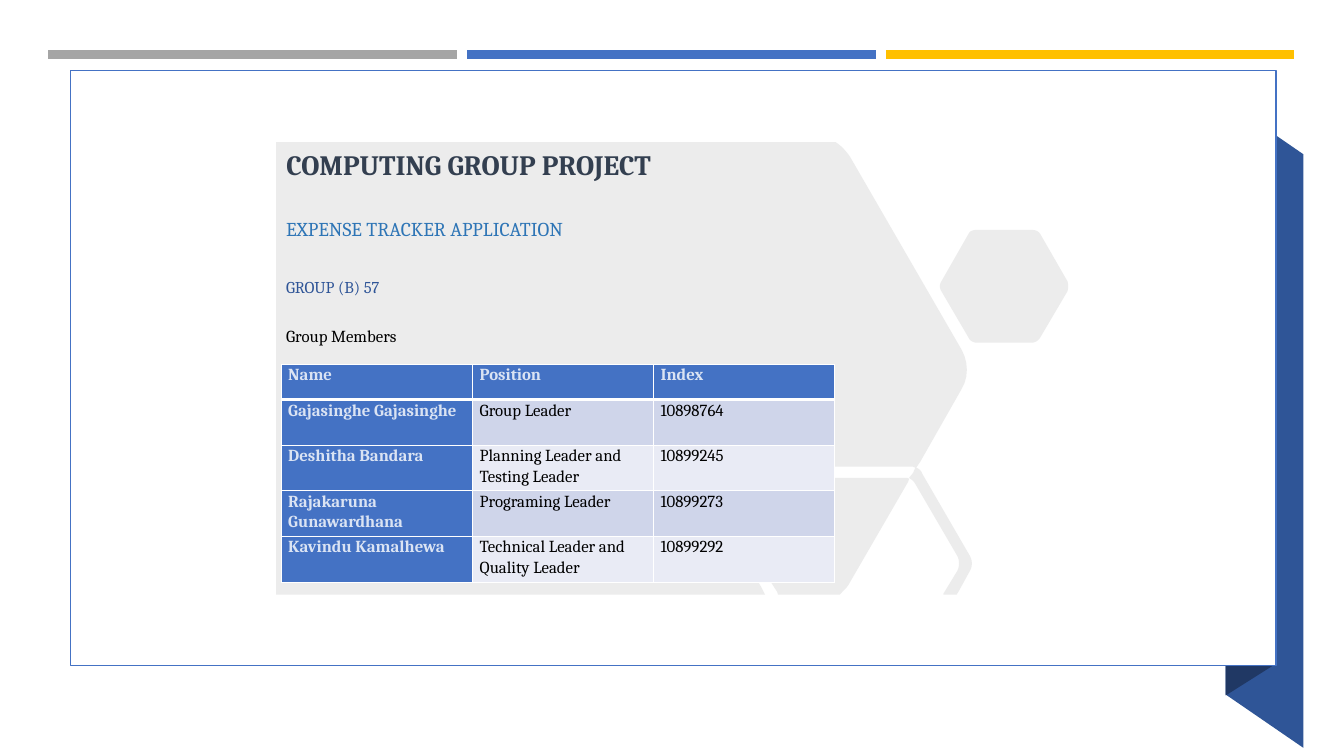
import dataclasses
import typing

import lxml.etree
import pptx
import pptx.dml.color
import pptx.enum.shapes
import pptx.enum.text
import pptx.oxml
import pptx.oxml.ns
import pptx.util

Pt = pptx.util.Pt
FONT = "Cambria"
COLORS = {
    "white": "FFFFFF", "black": "000000", "gray": "A5A5A5", "blue": "4472C4",
    "gold": "FFC000", "ribbon": "2F5597", "fold": "203864", "hexagons": "808080",
    "title": "333F50", "subtitle": "2E75B6", "light": "DAE3F3",
    "odd": "CFD5EA", "even": "E9EBF5",
}
Segment = tuple[float, ...]


@dataclasses.dataclass(frozen=True)
class Outline:
    contours: list[list[Segment]]
    color: str
    opacity: int = 100


@dataclasses.dataclass(frozen=True)
class Line:
    text: str
    size: float
    color: str
    gap: float = 0
    bold: bool = False


BAR_COLORS = ["gray", "blue", "gold"]
BAR_WIDTH, BAR_PITCH = 291.6, 299.2

RIBBON = Outline([[(931, 534.2), (875.5, 496.1), (875.5, 72), (931, 110.2)]], "ribbon")
FOLD = Outline([[(908.6, 475.9), (875.5, 496.8), (875.5, 72), (908.6, 50.4)]], "fold")

HEXAGONS = Outline([
    [(585.4, 341.3), (648, 341.3), (649.4, 342), (648.7, 344.2), (607, 416.2),
     (605.5, 419, 604.1, 420.5, 601.9, 422.6), (599.8, 424.8), (555.8, 424.8),
     (555.1, 422.6), (552.2, 418.3, 549.4, 414, 546.5, 408.2),
     (544.3, 405.4, 544.3, 401, 546.5, 398.2), (576, 346.3),
     (578.2, 342.7, 581.8, 341.3, 585.4, 341.3)],
    [(697.7, 164.2), (736.6, 164.2), (739.4, 164.2, 741.6, 164.9, 743, 167),
     (762.5, 200.9), (763.2, 203, 763.2, 205.9, 762.5, 208.1), (743, 241.2),
     (741.6, 243.4, 739.4, 244.8, 736.6, 244.8), (697.7, 244.8),
     (695.5, 244.8, 692.6, 243.4, 691.9, 241.2), (672.5, 208.1),
     (671, 205.9, 671, 203, 672.5, 200.9), (691.9, 167),
     (692.6, 164.9, 695.5, 164.2, 697.7, 164.2)],
    [(197.3, 101.5), (596.9, 101.5), (599, 103),
     (602.6, 105.8, 604.8, 108.7, 607, 111.6), (686.9, 249.8),
     (691.9, 258.5, 691.9, 270, 686.9, 277.9), (657.4, 329.8), (654.5, 334.1),
     (656.6, 334.8, 658.1, 336.2, 658.8, 338.4), (692.6, 396.7),
     (694.8, 400.3, 694.8, 404.6, 692.6, 408.2), (684.7, 422.6), (683.3, 424.8),
     (673.9, 424.8), (673.9, 424.1), (684, 407.5),
     (685.4, 404.6, 685.4, 400.3, 684, 397.4), (653.8, 345.6),
     (653, 344.2, 651.6, 342.7, 650.2, 342), (649.4, 341.3), (652.3, 337.7),
     (653.8, 334.1), (652.3, 333.4), (581.8, 333.4),
     (577.4, 333.4, 573.1, 335.5, 571, 339.1), (537.8, 397.4),
     (535.7, 401, 535.7, 405.4, 537.8, 409), (543.6, 419), (546.5, 424.8),
     (197.3, 424.8)],
], "hexagons", 15)

TITLE = Line("COMPUTING GROUP PROJECT", 20, "title", bold=True)
DETAILS = [
    Line("EXPENSE TRACKER APPLICATION", 14, "subtitle"),
    Line("GROUP (B) 57", 11.8, "ribbon", 26.3),
    Line("Group Members", 12, "black", 20.5),
]
MEMBERS = [
    ("Name", "Position", "Index"),
    ("Gajasinghe Gajasinghe", "Group Leader", "10898764"),
    ("Deshitha Bandara", "Planning Leader and Testing Leader", "10899245"),
    ("Rajakaruna Gunawardhana", "Programing Leader", "10899273"),
    ("Kavindu Kamalhewa", "Technical Leader and Quality Leader", "10899292"),
]
COLUMN_WIDTHS = [136.8, 129.2, 129.2]
HEADER_HEIGHT, ROW_HEIGHT = 25.2, 32.6


def rgb(color: str) -> pptx.dml.color.RGBColor:
    return pptx.dml.color.RGBColor.from_string(COLORS[color])


def fill_solid(fill: typing.Any, color: str) -> None:
    fill.solid()
    fill.fore_color.rgb = rgb(color)


def flatten(contour: list[Segment], steps: int = 6) -> list[tuple[int, int]]:
    points: list[Segment] = []
    for segment in contour:
        if len(segment) == 2:
            points.append(segment)
            continue
        x0, y0 = points[-1]
        x1, y1, x2, y2, x3, y3 = segment
        for step in range(1, steps + 1):
            t = step / steps
            a, b, c, d = (1 - t) ** 3, 3 * t * (1 - t) ** 2, 3 * t * t * (1 - t), t ** 3
            points.append((a * x0 + b * x1 + c * x2 + d * x3,
                           a * y0 + b * y1 + c * y2 + d * y3))
    return [(Pt(x), Pt(y)) for x, y in points]


def draw_outline(slide: typing.Any, outline: Outline) -> None:
    first, *others = [flatten(contour) for contour in outline.contours]
    builder = slide.shapes.build_freeform(*first[0], scale=1.0)
    builder.add_line_segments(first[1:], close=True)
    for points in others:
        builder.move_to(*points[0])
        builder.add_line_segments(points[1:], close=True)
    area = builder.convert_to_shape()
    area.shadow.inherit = False
    area.line.fill.background()
    fill_solid(area.fill, outline.color)
    if outline.opacity < 100:
        tint = area._element.spPr.find(".//" + pptx.oxml.ns.qn("a:srgbClr"))
        lxml.etree.SubElement(tint, pptx.oxml.ns.qn("a:alpha"), val=str(outline.opacity * 1000))


def draw_bars(slide: typing.Any) -> None:
    for index, color in enumerate(BAR_COLORS):
        left = 34.6 + index * BAR_PITCH
        bar = slide.shapes.add_connector(
            pptx.enum.shapes.MSO_CONNECTOR.STRAIGHT,
            Pt(left), Pt(38.9), Pt(left + BAR_WIDTH), Pt(38.9))
        bar.line.color.rgb = rgb(color)
        bar.line.width = Pt(6.5)
        lxml.etree.SubElement(bar._element.spPr, pptx.oxml.ns.qn("a:effectLst"))


def draw_panel(slide: typing.Any) -> None:
    panel = slide.shapes.add_shape(
        pptx.enum.shapes.MSO_SHAPE.RECTANGLE, Pt(50.4), Pt(50.4), Pt(861.1), Pt(424.8))
    panel.shadow.inherit = False
    fill_solid(panel.fill, "white")
    panel.line.color.rgb = rgb("blue")
    panel.line.width = Pt(1)


def write_line(paragraph: typing.Any, line: Line) -> None:
    paragraph.alignment = pptx.enum.text.PP_ALIGN.LEFT
    paragraph.space_before = Pt(line.gap)
    run = paragraph.add_run()
    run.text = line.text
    run.font.name = FONT
    run.font.size = Pt(line.size)
    run.font.bold = line.bold
    run.font.color.rgb = rgb(line.color)


def write_block(block: typing.Any, top: float, height: float, lines: list[Line]) -> None:
    block.left, block.top, block.width, block.height = Pt(197.3), Pt(top), Pt(512.6), Pt(height)
    frame = block.text_frame
    frame.word_wrap = True
    frame.auto_size = pptx.enum.text.MSO_AUTO_SIZE.NONE
    frame.vertical_anchor = pptx.enum.text.MSO_ANCHOR.TOP
    frame.margin_left = frame.margin_right = Pt(7.2)
    frame.margin_top = frame.margin_bottom = 0
    for index, line in enumerate(lines):
        write_line(frame.add_paragraph() if index else frame.paragraphs[0], line)


def border_cell(cell: typing.Any, bottom: float) -> None:
    properties = cell._tc.get_or_add_tcPr()
    for position, (side, width) in enumerate(zip("LRTB", (1, 1, 1, bottom))):
        properties.insert(position, pptx.oxml.parse_xml(
            f'<a:ln{side} {pptx.oxml.ns.nsdecls("a")} w="{Pt(width)}"><a:solidFill>'
            f'<a:srgbClr val="{COLORS["white"]}"/></a:solidFill></a:ln{side}>'))


def draw_members(slide: typing.Any) -> None:
    heights = [HEADER_HEIGHT] + [ROW_HEIGHT] * (len(MEMBERS) - 1)
    members = slide.shapes.add_table(
        len(MEMBERS), len(COLUMN_WIDTHS), Pt(200.9), Pt(260.2),
        Pt(sum(COLUMN_WIDTHS)), Pt(sum(heights))).table
    for column, width in zip(members.columns, COLUMN_WIDTHS):
        column.width = Pt(width)
    for r, (row, height) in enumerate(zip(members.rows, heights)):
        row.height = Pt(height)
        for c, cell in enumerate(row.cells):
            heading = r == 0 or c == 0
            cell.margin_left = cell.margin_right = Pt(5)
            cell.margin_top = cell.margin_bottom = 0
            fill_solid(cell.fill, "blue" if heading else "odd" if r % 2 else "even")
            border_cell(cell, 1 if r else 3)
            paragraph = cell.text_frame.paragraphs[0]
            write_line(paragraph, Line(
                MEMBERS[r][c], 12, "light" if heading else "black", bold=heading))
            paragraph.line_spacing = 1.07
            paragraph.space_after = Pt(6 if r else 8)


def main() -> None:
    deck = pptx.Presentation()
    deck.slide_width, deck.slide_height = Pt(960), Pt(540)
    slide = deck.slides.add_slide(deck.slide_layouts[5])
    draw_bars(slide)
    draw_outline(slide, RIBBON)
    draw_outline(slide, FOLD)
    draw_panel(slide)
    draw_outline(slide, HEXAGONS)
    title = slide.shapes.title
    slide.shapes._spTree.append(title._element)
    write_block(title, 105.1, 30, [TITLE])
    write_block(slide.shapes.add_textbox(0, 0, 0, 0), 154.8, 102, DETAILS)
    draw_members(slide)
    deck.save("out.pptx")


if __name__ == "__main__":
    main()
